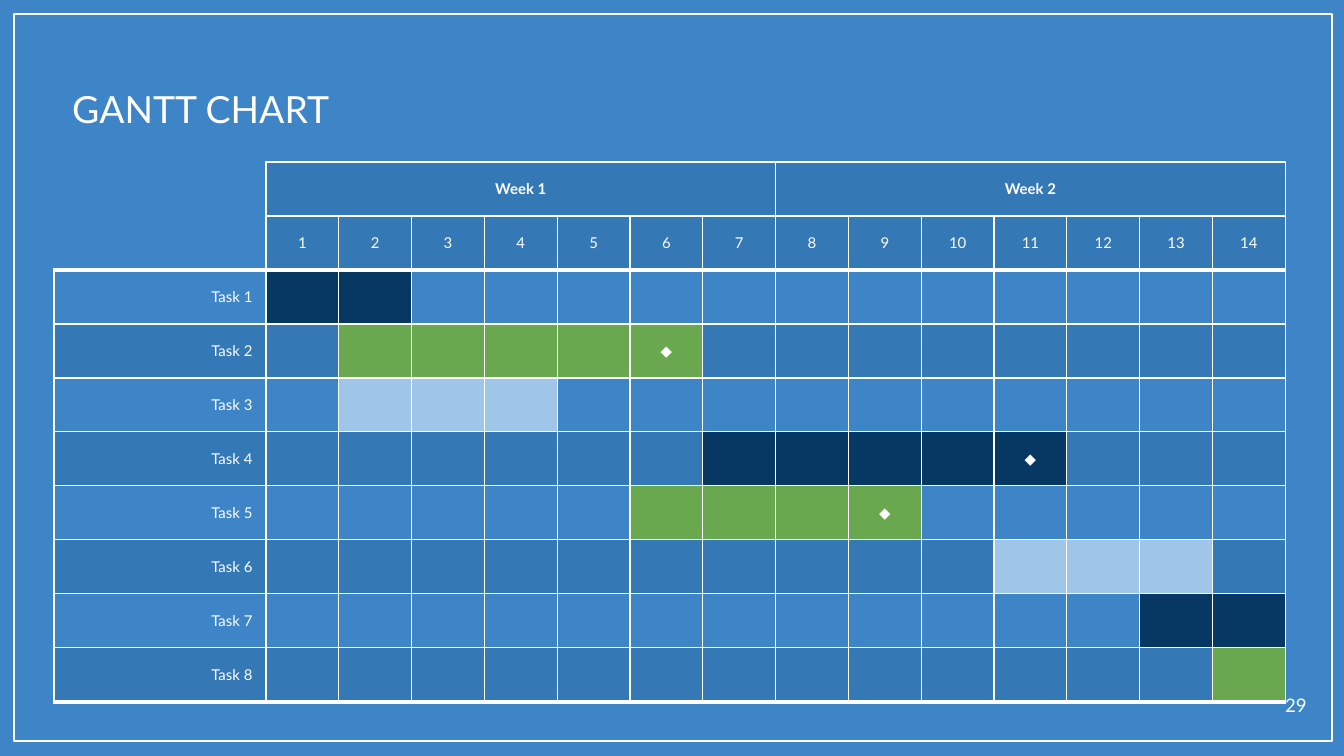
from dataclasses import dataclass
from typing import Any

from lxml import etree
from pptx import Presentation
from pptx import util as u
from pptx.dml import color
from pptx.enum import shapes, text
from pptx.oxml import ns

COLORS = {"blue": "3D85C6", "white": "FFFFFF", "navy": "073763",
          "green": "6AA84F", "light": "9FC5E8"}
EMU_PER_PX = 914400 / 134.4
TINT_ALPHA = 16
DAYS, DAYS_PER_WEEK, HEADER_ROWS = 14, 7, 2
LABEL_W, DAYS_W, ROW_H = 212, 1020, 54
THIN, THICK = 0.75, 2.25
TASKS = [
    (1, 2, "navy", False),
    (2, 6, "green", True),
    (2, 4, "light", False),
    (7, 11, "navy", True),
    (6, 9, "green", True),
    (11, 13, "light", False),
    (13, 14, "navy", False),
    (14, 14, "green", False),
]
ALIGN = {"l": text.PP_ALIGN.LEFT, "c": text.PP_ALIGN.CENTER,
         "r": text.PP_ALIGN.RIGHT}


def px(n):
    return u.Emu(round(n * EMU_PER_PX))


def rgb(name):
    return color.RGBColor.from_string(COLORS[name])


@dataclass
class Deck:
    slide: Any
    font: str = "Lato"
    ink: str = "white"

    def background(self, name):
        fill = self.slide.background.fill
        fill.solid()
        fill.fore_color.rgb = rgb(name)

    def frame(self, x, y, w, h):
        sp = self.slide.shapes.add_shape(
            shapes.MSO_SHAPE.RECTANGLE, px(x), px(y), px(w), px(h))
        sp.shadow.inherit = False
        sp.fill.background()
        sp.line.color.rgb = rgb(self.ink)
        sp.line.width = u.Pt(THIN)

    def add_text(self, tf, words, size, align="l", bold=False):
        p = tf.paragraphs[0]
        p.alignment = ALIGN[align]
        r = p.add_run()
        r.text = words
        fmt = {"name": self.font, "size": u.Pt(size), "bold": bold}
        for key, value in fmt.items():
            setattr(r.font, key, value)
        r.font.color.rgb = rgb(self.ink)

    def label(self, x, y, w, h, words, size, align="l"):
        tf = self.slide.shapes.add_textbox(px(x), px(y), px(w), px(h)).text_frame
        fmt = {"word_wrap": True, "vertical_anchor": text.MSO_ANCHOR.TOP}
        fmt.update({f"margin_{side}": u.Inches(0.1)
                    for side in ("left", "top", "right", "bottom")})
        for key, value in fmt.items():
            setattr(tf, key, value)
        self.add_text(tf, words, size, align)

    def table(self, x, y, col_widths, row_heights):
        tbl = self.slide.shapes.add_table(
            len(row_heights), len(col_widths), px(x), px(y),
            sum(col_widths), sum(row_heights)).table
        tbl.first_row = tbl.horz_banding = False
        for col, w in zip(tbl.columns, col_widths):
            col.width = w
        for row, h in zip(tbl.rows, row_heights):
            row.height = h
        return tbl

    def cell(self, c, words="", align="c", bold=False, fill=None, alpha=100):
        margin = u.Inches(0.05) if words else 0
        fmt = {"vertical_anchor": text.MSO_ANCHOR.MIDDLE,
               "margin_left": u.Inches(0.1), "margin_right": u.Inches(0.1),
               "margin_top": margin, "margin_bottom": margin}
        for key, value in fmt.items():
            setattr(c, key, value)
        if words:
            self.add_text(c.text_frame, words, 8, align, bold)
        if not fill:
            c.fill.background()
            return
        c.fill.solid()
        c.fill.fore_color.rgb = rgb(fill)
        if alpha < 100:
            clr = c._tc.tcPr.find(".//" + ns.qn("a:srgbClr"))
            etree.SubElement(clr, ns.qn("a:alpha"), val=str(alpha * 1000))

    def borders(self, c, left=THIN, right=THIN, top=THIN, bottom=THIN):
        sides = {"a:lnL": left, "a:lnR": right, "a:lnT": top, "a:lnB": bottom}
        for i, (tag, width) in enumerate(sides.items()):
            ln = etree.Element(ns.qn(tag), w=str(int(u.Pt(width))))
            if width:
                solid = etree.SubElement(ln, ns.qn("a:solidFill"))
                etree.SubElement(solid, ns.qn("a:srgbClr"), val=COLORS[self.ink])
            else:
                etree.SubElement(ln, ns.qn("a:noFill"))
            c._tc.tcPr.insert(i, ln)

    def gantt(self, x, y):
        rows = HEADER_ROWS + len(TASKS)
        tbl = self.table(x, y, [px(LABEL_W)] + [px(DAYS_W / DAYS)] * DAYS,
                         [px(ROW_H)] * rows)
        tint = {"fill": "navy", "alpha": TINT_ALPHA}

        for row in range(HEADER_ROWS):
            self.cell(tbl.cell(row, 0))
        for day in range(1, DAYS + 1):
            week, offset = divmod(day - 1, DAYS_PER_WEEK)
            title = "" if offset else f"Week {week + 1}"
            self.cell(tbl.cell(0, day), title, bold=True, **tint)
            self.cell(tbl.cell(1, day), str(day), **tint)

        for i, (start, end, bar, milestone) in enumerate(TASKS):
            row = HEADER_ROWS + i
            band = tint if i % 2 else {}
            self.cell(tbl.cell(row, 0), f"Task {i + 1}", "r", **band)
            for day in range(1, DAYS + 1):
                style = {"fill": bar} if start <= day <= end else band
                mark = "◆" if milestone and day == end else ""
                self.cell(tbl.cell(row, day), mark, **style)

        for row in range(rows):
            for col in range(DAYS + 1):
                widths = {}
                if row in (HEADER_ROWS - 1, rows - 1):
                    widths["bottom"] = THICK
                if row == HEADER_ROWS:
                    widths["top"] = THICK
                if col == 0 and row < HEADER_ROWS:
                    widths.update(left=0, top=0)
                    widths.setdefault("bottom", 0)
                self.borders(tbl.cell(row, col), **widths)

        for first in range(1, DAYS + 1, DAYS_PER_WEEK):
            tbl.cell(0, first).merge(tbl.cell(0, first + DAYS_PER_WEEK - 1))


def main():
    prs = Presentation()
    prs.slide_width, prs.slide_height = px(1344), px(756)
    s = Deck(prs.slides.add_slide(prs.slide_layouts[6]))
    s.background("blue")
    s.frame(14, 14, 1318, 727)
    s.label(59, 73, 1210, 60, "GANTT CHART", 20)
    s.label(1253, 683, 67, 43, "29", 10, "r")
    s.gantt(54, 162)
    prs.save("out.pptx")


if __name__ == "__main__":
    main()
